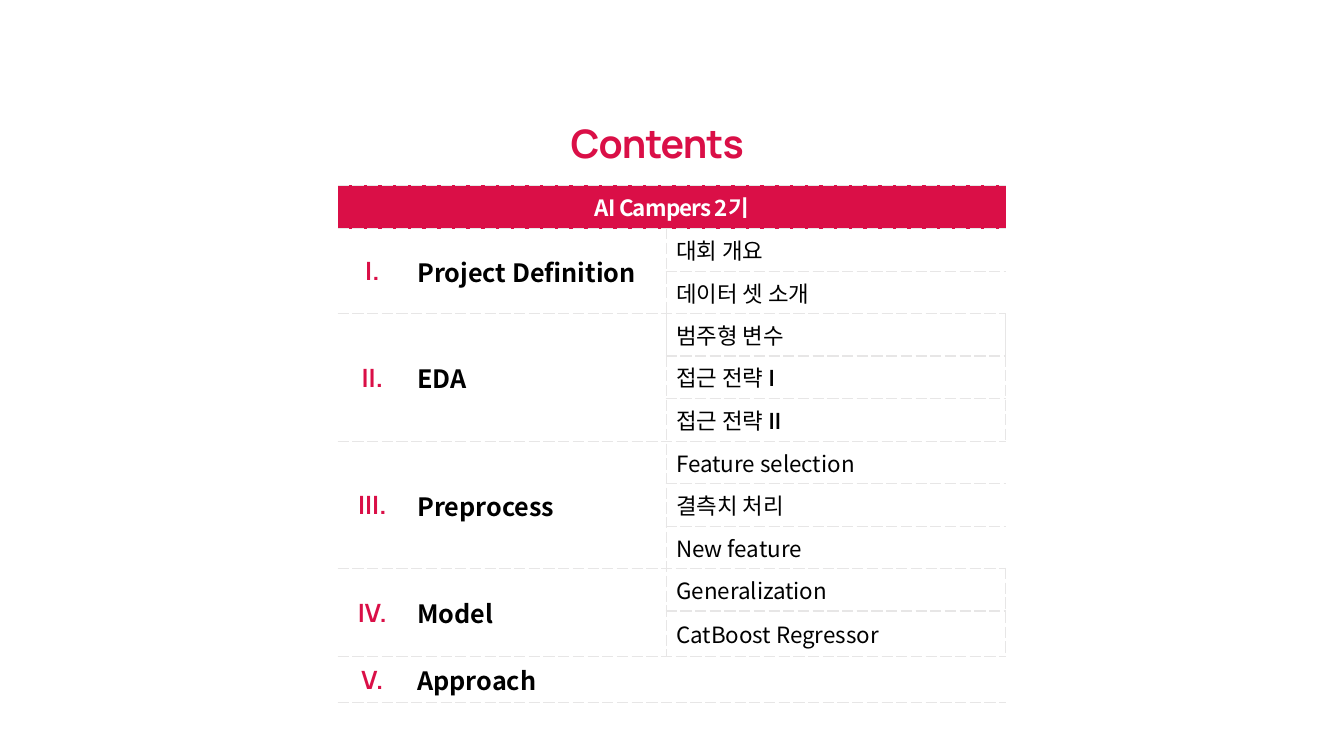
from lxml import etree
from pptx import Presentation
from pptx.dml.color import RGBColor
from pptx.enum import text
from pptx.oxml import ns
from pptx.util import Pt

CRIMSON = RGBColor(0xDA, 0x0F, 0x47)
BLACK = RGBColor(0, 0, 0)
WHITE = RGBColor(0xFF, 0xFF, 0xFF)
LINE_GREY = RGBColor(0xE7, 0xE6, 0xE6)
LATIN_FONT, KOREAN_FONT = "Manrope", "Noto Sans CJK KR"
NO_STYLE = "{2D5ABB26-0587-4C30-8999-92F81FD0307C}"

TITLE = "Contents"
HEADER = "AI Campers 2기"
# numeral, section, topics as (text, bold numeral), whether the right edge is ruled
SECTIONS = [
    ("I.", "Project Definition", [("대회 개요", ""), ("데이터 셋 소개", "")], False),
    ("II.", "EDA", [("범주형 변수", ""), ("접근 전략 ", "I"), ("접근 전략 ", "II")], True),
    ("III.", "Preprocess",
     [("Feature selection", ""), ("결측치 처리", ""), ("New feature", "")], False),
    ("IV.", "Model", [("Generalization", ""), ("CatBoost Regressor", "")], True),
    ("V.", "Approach", [], False),
]
SOLID_TOPIC = "범주형 변수"

TABLE_LEFT, TABLE_TOP = 241.2, 132.5
COLUMN_WIDTHS = [49.7, 185, 242.6]
HEADER_HEIGHT, ROW_HEIGHT, LAST_TOPIC_HEIGHT = 31, 26, 32.4


def add_text(frame, words, size=16, color=BLACK, font=KOREAN_FONT, bold=False,
             align=text.PP_ALIGN.LEFT, spacing=0):
    """Append a run to the first paragraph; spacing is in points."""
    paragraph = frame.paragraphs[0]
    paragraph.alignment = align
    run = paragraph.add_run()
    run.text = words
    run.font.size, run.font.bold, run.font.name = Pt(size), bold, font
    run.font.color.rgb = color
    properties = run.font._element
    properties.set("spc", str(round(spacing * 100)))
    east_asian = etree.Element(ns.qn("a:ea"), typeface=KOREAN_FONT)
    properties.find(ns.qn("a:latin")).addnext(east_asian)


def format_cell(cell, sides="TB", solid_sides="", fill=None):
    """Rule the given sides (a subset of LRTB, in that order) and set the fill."""
    cell.vertical_anchor = text.MSO_ANCHOR.MIDDLE
    if fill is None:
        cell.fill.background()
    else:
        cell.fill.solid()
        cell.fill.fore_color.rgb = fill
    properties = cell._tc.get_or_add_tcPr()
    for position, side in enumerate(sides):
        line = etree.Element(ns.qn(f"a:ln{side}"), w=str(Pt(1)))
        paint = etree.SubElement(line, ns.qn("a:solidFill"))
        etree.SubElement(paint, ns.qn("a:srgbClr"), val=str(LINE_GREY))
        dash = "solid" if side in solid_sides else "sysDash"
        etree.SubElement(line, ns.qn("a:prstDash"), val=dash)
        properties.insert(position, line)


def add_contents_table(slide):
    row_heights = [HEADER_HEIGHT]
    for _, _, topics, _ in SECTIONS:
        row_heights += [ROW_HEIGHT] * max(1, len(topics))
    row_heights[-2] = LAST_TOPIC_HEIGHT
    frame = slide.shapes.add_table(
        len(row_heights), len(COLUMN_WIDTHS), Pt(TABLE_LEFT), Pt(TABLE_TOP),
        Pt(sum(COLUMN_WIDTHS)), Pt(sum(row_heights)))
    table = frame.table
    table.first_row = table.horz_banding = False
    table._tbl.tblPr.find(ns.qn("a:tableStyleId")).text = NO_STYLE
    for column, width in zip(table.columns, COLUMN_WIDTHS):
        column.width = Pt(width)
    for row, height in zip(table.rows, row_heights):
        row.height = Pt(height)

    header = table.cell(0, 0)
    header.merge(table.cell(0, 2))
    format_cell(header, fill=CRIMSON)
    add_text(header.text_frame, HEADER, color=WHITE, bold=True,
             align=text.PP_ALIGN.CENTER, spacing=-0.6)

    first = 1
    for numeral, section, topics, ruled_right in SECTIONS:
        last = first + max(1, len(topics)) - 1
        number_cell, section_cell = table.cell(first, 0), table.cell(first, 1)
        if topics:
            number_cell.merge(table.cell(last, 0))
            section_cell.merge(table.cell(last, 1))
        else:
            section_cell.merge(table.cell(last, 2))
        format_cell(number_cell)
        format_cell(section_cell, "RTB" if topics else "TB")
        add_text(number_cell.text_frame, numeral, size=18, color=CRIMSON,
                 font=LATIN_FONT, bold=True, align=text.PP_ALIGN.CENTER)
        add_text(section_cell.text_frame, section, size=18, bold=True)
        for row, (topic, topic_numeral) in enumerate(topics, first):
            cell = table.cell(row, 2)
            format_cell(cell, "LRTB" if ruled_right else "LTB",
                        "LRB" if topic == SOLID_TOPIC else "")
            add_text(cell.text_frame, topic)
            if topic_numeral:
                add_text(cell.text_frame, topic_numeral, font=LATIN_FONT, bold=True)
        first = last + 1


def main():
    presentation = Presentation()
    presentation.slide_width, presentation.slide_height = Pt(960), Pt(540)
    slide = presentation.slides.add_slide(presentation.slide_layouts[5])
    add_contents_table(slide)
    title = slide.shapes.title
    title.left, title.top, title.width, title.height = Pt(400.3), Pt(81.4), Pt(143.3), Pt(41)
    title.text_frame.auto_size = text.MSO_AUTO_SIZE.NONE
    title.text_frame.vertical_anchor = text.MSO_ANCHOR.TOP
    add_text(title.text_frame, TITLE, size=28, color=CRIMSON, font=LATIN_FONT,
             bold=True, spacing=-0.6)
    presentation.save("out.pptx")


if __name__ == "__main__":
    main()
